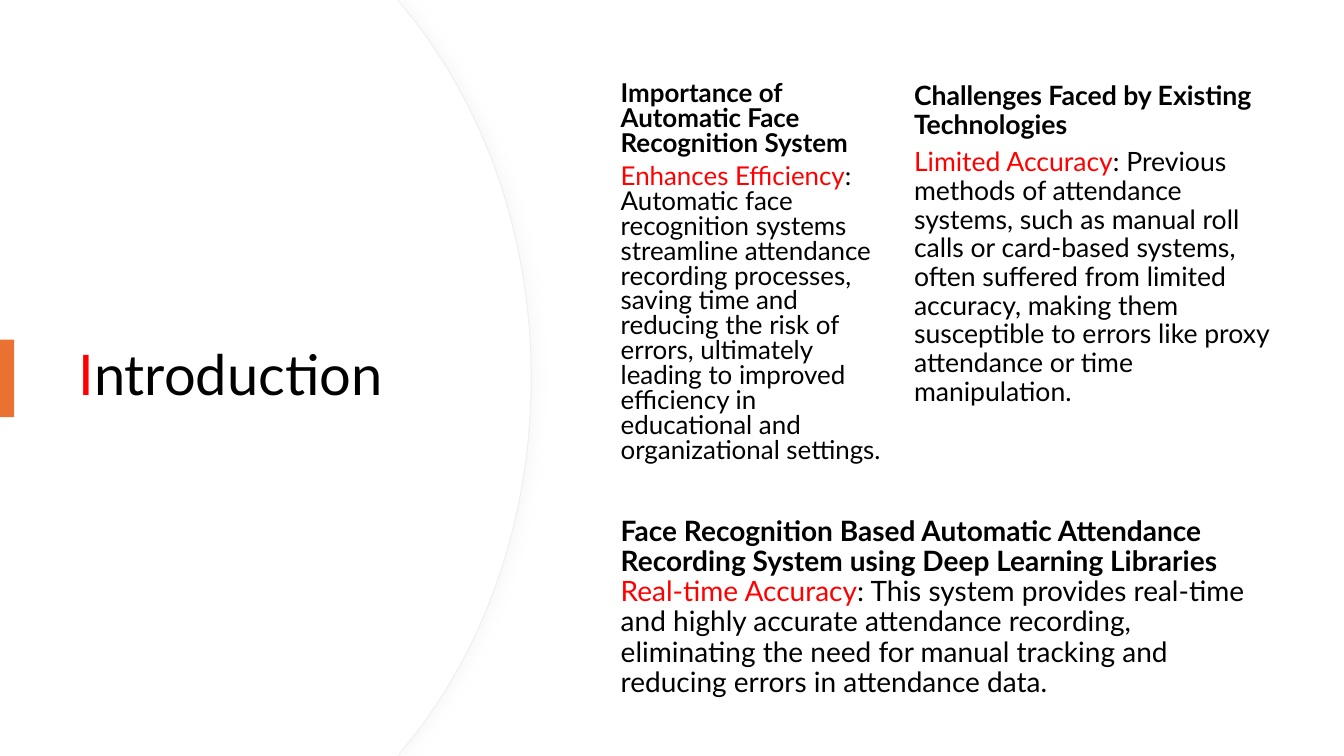
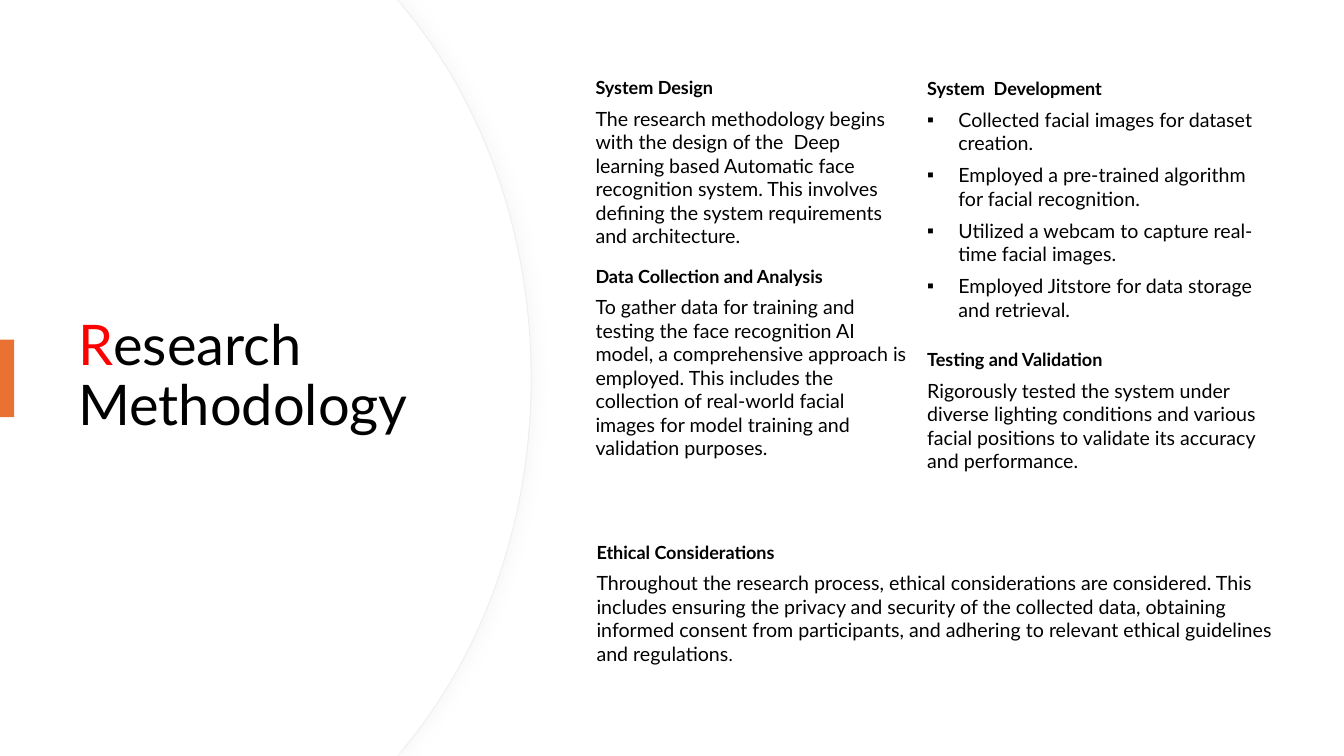
import pptx
import pptx.util
import pptx.dml.color
import pptx.enum.shapes
import pptx.enum.text
import pptx.oxml
import pptx.oxml.ns
import lxml.etree
from dataclasses import dataclass

Inches = pptx.util.Inches
Pt = pptx.util.Pt
qn = pptx.oxml.ns.qn


@dataclass(frozen=True)
class Theme:
    """Colours, font and type sizes that the slides share."""
    font: str = "Lato"
    bullet_font: str = "Arial"
    paper: str = "FFFFFF"
    ink: str = "000000"
    red: str = "FF0000"
    orange: str = "E97132"
    edge: str = "EFEFEF"
    shade: str = "D9D9D9"
    title: float = 40
    heading: float = 12.9
    body: float = 14


T = Theme()
TITLE_BOX = (0.68, 1.27, 3.94, 4.95)
TAB_BOX = (0, 3.37, 0.14, 0.77)
ARC_BOX = (0, 0, 5.27, 7.5)
FACE_BOX = (0, 0, 5.26, 7.5)


def rgb(value):
    """Turn a hex string into a colour."""
    return pptx.dml.color.RGBColor.from_string(value)


def set_all(obj, values):
    """Set each attribute of obj from a dict."""
    for name, value in values.items():
        setattr(obj, name, value)


def add_xml(parent, tag, **attributes):
    """Append a drawing element with attributes and return it."""
    values = {name: str(value) for name, value in attributes.items()}
    return lxml.etree.SubElement(parent, qn(tag), values)


def paint(sp, fill, line=None):
    """Give a shape a plain fill and an optional thin outline."""
    sp.shadow.inherit = False
    sp.fill.solid()
    sp.fill.fore_color.rgb = rgb(fill)
    if line:
        sp.line.color.rgb = rgb(line)
        sp.line.width = Pt(0.75)
    else:
        sp.line.fill.background()


def bend(sp, first):
    """Merge three straight segments, from index first, into one cubic curve."""
    segments = list(sp._element.iter(qn("a:lnTo")))[first:first + 3]
    curve = pptx.oxml.parse_xml(f'<a:cubicBezTo {pptx.oxml.ns.nsdecls("a")}/>')
    segments[0].addprevious(curve)
    for segment in segments:
        curve.append(segment[0])
        segment.getparent().remove(segment)


def arc_panel(s, box, line=None):
    """Draw the panel whose right side bulges to the edge of its box."""
    x, y, w, h = box
    upper = [(3.94, 0), (w - 1.26, 0.08), (w - 0.48, 1.02), (w, 2.32)]
    lower = [(px, h - py) for px, py in reversed(upper)]
    outline = upper + [(w, h / 2)] + lower + [(0, h)]
    fb = s.shapes.build_freeform(Inches(x), Inches(y), scale=1.0)
    fb.add_line_segments([(Inches(x + px), Inches(y + py)) for px, py in outline], close=True)
    sp = fb.convert_to_shape()
    for first in (5, 2):
        bend(sp, first)
    paint(sp, T.paper, line)
    return sp


def cast_shadow(sp):
    """Let a soft shadow fall to the right of a shape."""
    effects = sp._element.spPr.find(qn("a:effectLst"))
    shadow = add_xml(effects, "a:outerShdw", blurRad=Pt(10), dist=Pt(3), dir=0,
                     algn="l", rotWithShape=0)
    colour = add_xml(shadow, "a:srgbClr", val=T.shade)
    add_xml(colour, "a:alpha", val=20000)


def add_bullet(p):
    """Hang a paragraph behind a small square."""
    pPr = p._p.get_or_add_pPr()
    pPr.set("marL", str(Inches(0.31)))
    pPr.set("indent", str(-Inches(0.31)))
    add_xml(pPr, "a:buFont", typeface=T.bullet_font)
    add_xml(pPr, "a:buChar", char="▪")


def text_box(s, box, paragraphs, middle=False, bullets=False, **spacing):
    """Write paragraphs of (text, size, bold, colour) runs in a box."""
    tf = s.shapes.add_textbox(*map(Inches, box)).text_frame
    anchor = pptx.enum.text.MSO_ANCHOR
    set_all(tf, {"word_wrap": True,
                 "vertical_anchor": anchor.MIDDLE if middle else anchor.TOP})
    for i, runs in enumerate(paragraphs):
        p = tf.add_paragraph() if i else tf.paragraphs[0]
        set_all(p, spacing)
        if bullets and i:
            add_bullet(p)
        for text, size, bold, colour in runs:
            r = p.add_run()
            r.text = text
            set_all(r.font, {"name": T.font, "size": Pt(size), "bold": bold})
            r.font.color.rgb = rgb(colour)


def base_slide(prs, title):
    """Add a slide with the curved panel, the title and the orange tab."""
    s = prs.slides.add_slide(prs.slide_layouts[6])
    s.background.fill.solid()
    s.background.fill.fore_color.rgb = rgb(T.paper)
    cast_shadow(arc_panel(s, ARC_BOX, T.edge))
    arc_panel(s, FACE_BOX)
    runs = [(title[0], T.title, False, T.red), (title[1:], T.title, False, T.ink)]
    text_box(s, TITLE_BOX, [runs], middle=True, line_spacing=0.9)
    tab = s.shapes.add_shape(pptx.enum.shapes.MSO_SHAPE.RECTANGLE, *map(Inches, TAB_BOX))
    paint(tab, T.orange)
    return s


def claim(s, box, size, heading, lead, body, joined=False, **spacing):
    """Write a bold heading and a body that opens with a red lead."""
    head = [(heading, size, True, T.ink)]
    rest = [(lead, size, False, T.red), (body, size, False, T.ink)]
    text_box(s, box, [head + rest] if joined else [head, rest], **spacing)


def section(s, box, heading, *bodies, bullets=False, ending=""):
    """Write a small bold heading above plain or bulleted paragraphs."""
    paragraphs = [[(heading, T.heading, True, T.ink)]]
    paragraphs += [[(body, T.body, False, T.ink)] for body in bodies]
    if ending:
        paragraphs[-1].append((ending, T.heading, False, T.ink))
    text_box(s, box, paragraphs, bullets=bullets, space_after=Pt(6))


def introduction(prs):
    """Build the introduction slide."""
    s = base_slide(prs, "Introduction")
    claim(s, (6.06, 0.77, 2.86, 4.22), 18.5,
          "Importance of Automatic Face Recognition System",
          "Enhances Efficiency",
          ": Automatic face recognition systems streamline attendance recording processes, "
          "saving time and reducing the risk of errors, ultimately leading to improved "
          "efficiency in educational and organizational settings.",
          line_spacing=0.8, space_after=Pt(6))
    roomy = {"line_spacing": 0.9, "space_before": Pt(6.1)}
    claim(s, (8.97, 0.77, 3.76, 4.22), 19,
          "Challenges Faced by Existing Technologies",
          "Limited Accuracy",
          ": Previous methods of attendance systems, such as manual roll calls or card-based "
          "systems, often suffered from limited accuracy, making them susceptible to errors "
          "like proxy attendance or time manipulation.", **roomy)
    claim(s, (6.06, 5.08, 6.67, 2.27), 20,
          "Face Recognition Based Automatic Attendance Recording System using Deep Learning "
          "Libraries ",
          "Real-time Accuracy",
          ": This system provides real-time and highly accurate attendance recording, "
          "eliminating the need for manual tracking and reducing errors in attendance data.",
          joined=True, **roomy)


def methodology(prs):
    """Build the research methodology slide."""
    s = base_slide(prs, "Research Methodology")
    section(s, (5.81, 0.71, 3.29, 2.12), "System Design",
            "The research methodology begins with the design of the  Deep learning based "
            "Automatic face recognition system. This involves defining the system "
            "requirements and architecture.")
    section(s, (9.1, 0.72, 3.53, 2.54), "System  Development",
            "Collected facial images for dataset creation.",
            "Employed a pre-trained algorithm for facial recognition.",
            "Utilized a webcam to capture real-time facial images.",
            "Employed Jitstore for data storage and retrieval.", bullets=True)
    section(s, (5.81, 2.58, 3.29, 2.05), "Data Collection and Analysis",
            "To gather data for training and testing the face recognition AI model, a "
            "comprehensive approach is employed. This includes the collection of real-world "
            "facial images for model training and validation purposes.")
    section(s, (9.1, 3.41, 3.53, 1.65), "Testing and Validation",
            "Rigorously tested the system under diverse lighting conditions and various "
            "facial positions to validate its accuracy and performance.")
    section(s, (5.82, 5.32, 6.96, 1.65), "Ethical Considerations",
            "Throughout the research process, ethical considerations are considered. This "
            "includes ensuring the privacy and security of the collected data, obtaining "
            "informed consent from participants, and adhering to relevant ethical guidelines "
            "and regulations", ending=".")


def main():
    """Build and save the presentation."""
    prs = pptx.Presentation()
    set_all(prs, {"slide_width": Inches(40 / 3), "slide_height": Inches(7.5)})
    introduction(prs)
    methodology(prs)
    prs.save("out.pptx")


if __name__ == "__main__":
    main()
